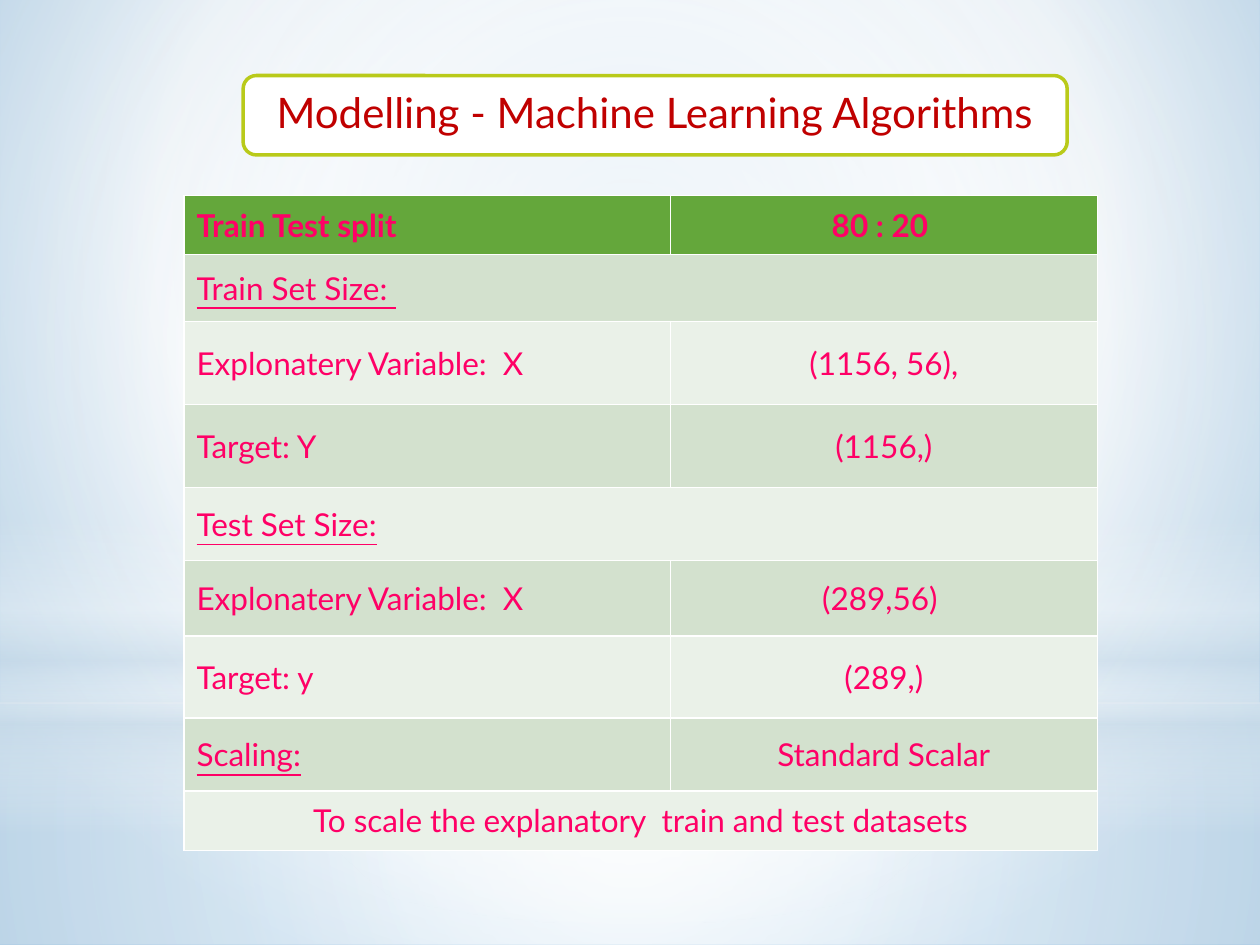
from lxml import etree
from pptx import Presentation
from pptx.dml.color import RGBColor
from pptx.enum import shapes, text
from pptx.oxml.ns import nsdecls, qn
from pptx.util import Inches, Pt

WHITE = RGBColor(0xFF, 0xFF, 0xFF)
MIST = RGBColor(0xCC, 0xDD, 0xEA)
PALE_BLUE = RGBColor(0xBC, 0xD5, 0xE8)
SKY = RGBColor(0x82, 0xB6, 0xDE)
LIME = RGBColor(0xB9, 0xCA, 0x1A)
DARK_RED = RGBColor(0xC0, 0x00, 0x00)
PINK = RGBColor(0xFF, 0x00, 0x66)
GREEN = RGBColor(0x64, 0xA7, 0x3B)
BANDS = (RGBColor(0xEA, 0xF1, 0xE8), RGBColor(0xD3, 0xE1, 0xCE))
FONT = "Lato"


def apply_gradient(owner, stops, focus=None):
    """Swap the owner's solid fill for a gradient: circular around focus, else vertical."""
    marks = "".join(
        f'<a:gs pos="{position * 1000}"><a:srgbClr val="{color}">'
        f'<a:alpha val="{opacity * 1000}"/></a:srgbClr></a:gs>'
        for position, color, opacity in stops
    )
    if focus:
        left, top, right, bottom = (side * 1000 for side in focus)
        direction = (
            f'<a:path path="circle"><a:fillToRect l="{left}" t="{top}" '
            f'r="{right}" b="{bottom}"/></a:path>'
        )
    else:
        direction = '<a:lin ang="5400000" scaled="0"/>'
    gradient = etree.fromstring(
        f'<a:gradFill {nsdecls("a")} rotWithShape="1">'
        f"<a:gsLst>{marks}</a:gsLst>{direction}</a:gradFill>"
    )
    solid = owner.find(".//" + qn("a:solidFill"))
    solid.getparent().replace(solid, gradient)


def add_plain_shape(kind, left, top, width, height):
    shape = page.shapes.add_shape(
        kind, Inches(left), Inches(top), Inches(width), Inches(height)
    )
    shape.shadow.inherit = False
    shape.fill.solid()
    shape.fill.fore_color.rgb = WHITE
    shape.line.fill.background()
    return shape


deck = Presentation()
deck.slide_width, deck.slide_height = Inches(10), Inches(7.5)
page = deck.slides.add_slide(deck.slide_layouts[5])

# Background glow
backdrop = page.background.fill
backdrop.solid()
backdrop.fore_color.rgb = WHITE
apply_gradient(
    page.element,
    [(0, PALE_BLUE, 100), (60, WHITE, 100), (100, SKY, 100)],
    (20, 10, 20, 60),
)

RECTANGLE = shapes.MSO_SHAPE.RECTANGLE
CENTER = (50, 50, 50, 50)
layers = [
    (RECTANGLE, 5.58, 1.92, CENTER,
     [(0, WHITE, 91), (37, WHITE, 76), (100, MIST, 79)]),
    (RECTANGLE, 0, 5.58, CENTER,
     [(0, WHITE, 89), (48, WHITE, 62), (100, MIST, 79)]),
    (RECTANGLE, 4.12, 2.5, None,
     [(0, WHITE, 0), (29, WHITE, 30), (45, MIST, 40),
      (55, WHITE, 26), (65, MIST, 60), (100, WHITE, 0)]),
    (shapes.MSO_SHAPE.OVAL, 1.75, 5.58, CENTER, [(0, WHITE, 100), (56, WHITE, 0)]),
]
for kind, top, height, focus, stops in layers:
    layer = add_plain_shape(kind, 0, top, 10, height)
    apply_gradient(layer.element, stops, focus)

# Title in its frame
frame = add_plain_shape(shapes.MSO_SHAPE.ROUNDED_RECTANGLE, 1.93, 0.6, 6.54, 0.63)
frame.line.color.rgb = LIME
frame.line.width = Pt(2)

title = page.shapes.title
title.element.getparent().append(title.element)
title.left, title.top = Inches(1.96), Inches(0.63)
title.width, title.height = Inches(6.47), Inches(0.57)
box = title.text_frame
box.text = "Modelling - Machine Learning Algorithms"
box.word_wrap = True
box.auto_size = text.MSO_AUTO_SIZE.NONE
box.vertical_anchor = text.MSO_ANCHOR.MIDDLE
box.margin_left = box.margin_right = box.margin_top = box.margin_bottom = Inches(0.1)
para = box.paragraphs[0]
para.alignment = text.PP_ALIGN.CENTER
para.line_spacing = 0.9
para.font.name, para.font.size = FONT, Pt(24)
para.font.color.rgb = DARK_RED

# Table: a row with a single text spans both columns
rows = [
    (0.47, "Train Test split", "80 : 20 "),
    (0.53, "Train Set Size: "),
    (0.66, "Explonatery Variable:  X", "(1156, 56),"),
    (0.66, "Target: Y", "(1156,)"),
    (0.58, "Test Set Size:"),
    (0.6, "Explonatery Variable:  X", "(289,56) "),
    (0.65, "Target: y", "(289,)"),
    (0.58, "Scaling:", "Standard Scalar"),
    (0.47, "To scale the explanatory  train and test datasets"),
]
underlined = {"Train Set Size: ", "Test Set Size:", "Scaling:"}
last = len(rows) - 1
table = page.shapes.add_table(
    len(rows), 2, Inches(1.46), Inches(1.55), Inches(7.25), Inches(5.2)
).table
table.columns[0].width = Inches(3.86)
table.columns[1].width = Inches(3.39)

for row, (height, *entries) in enumerate(rows):
    table.rows[row].height = Inches(height)
    if len(entries) == 1:
        table.cell(row, 0).merge(table.cell(row, 1))
    for column, entry in enumerate(entries):
        cell = table.cell(row, column)
        cell.fill.solid()
        cell.fill.fore_color.rgb = BANDS[row % 2] if row else GREEN
        cell.vertical_anchor = text.MSO_ANCHOR.MIDDLE
        cell.text_frame.text = entry
        para = cell.text_frame.paragraphs[0]
        centered = column == 1 or row == last
        para.alignment = text.PP_ALIGN.CENTER if centered else text.PP_ALIGN.LEFT
        span = para.runs[0]
        span.font.name, span.font.size = FONT, Pt(18)
        span.font.color.rgb = PINK
        span.font.bold = row == 0
        span.font.underline = entry in underlined

deck.save("out.pptx")
